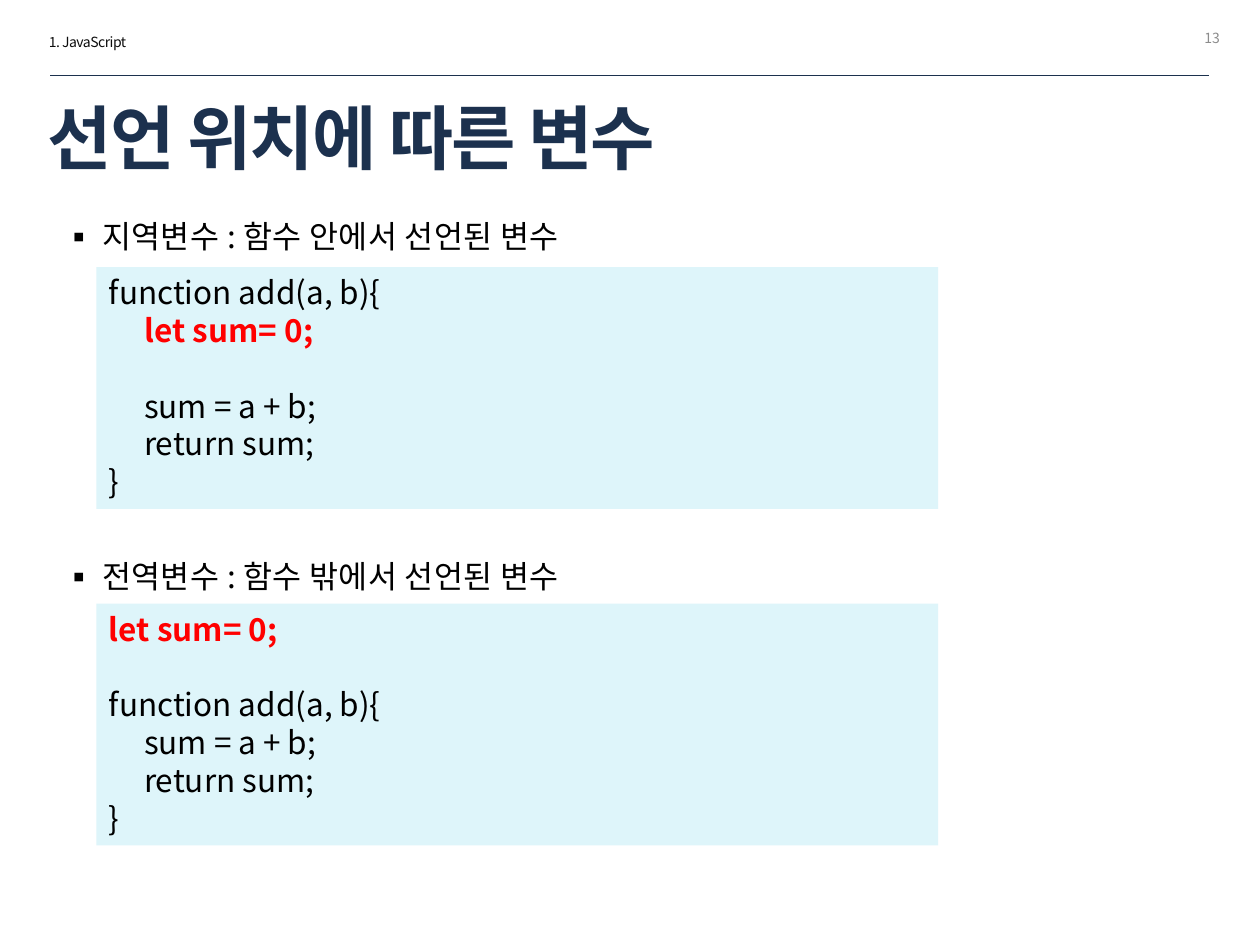
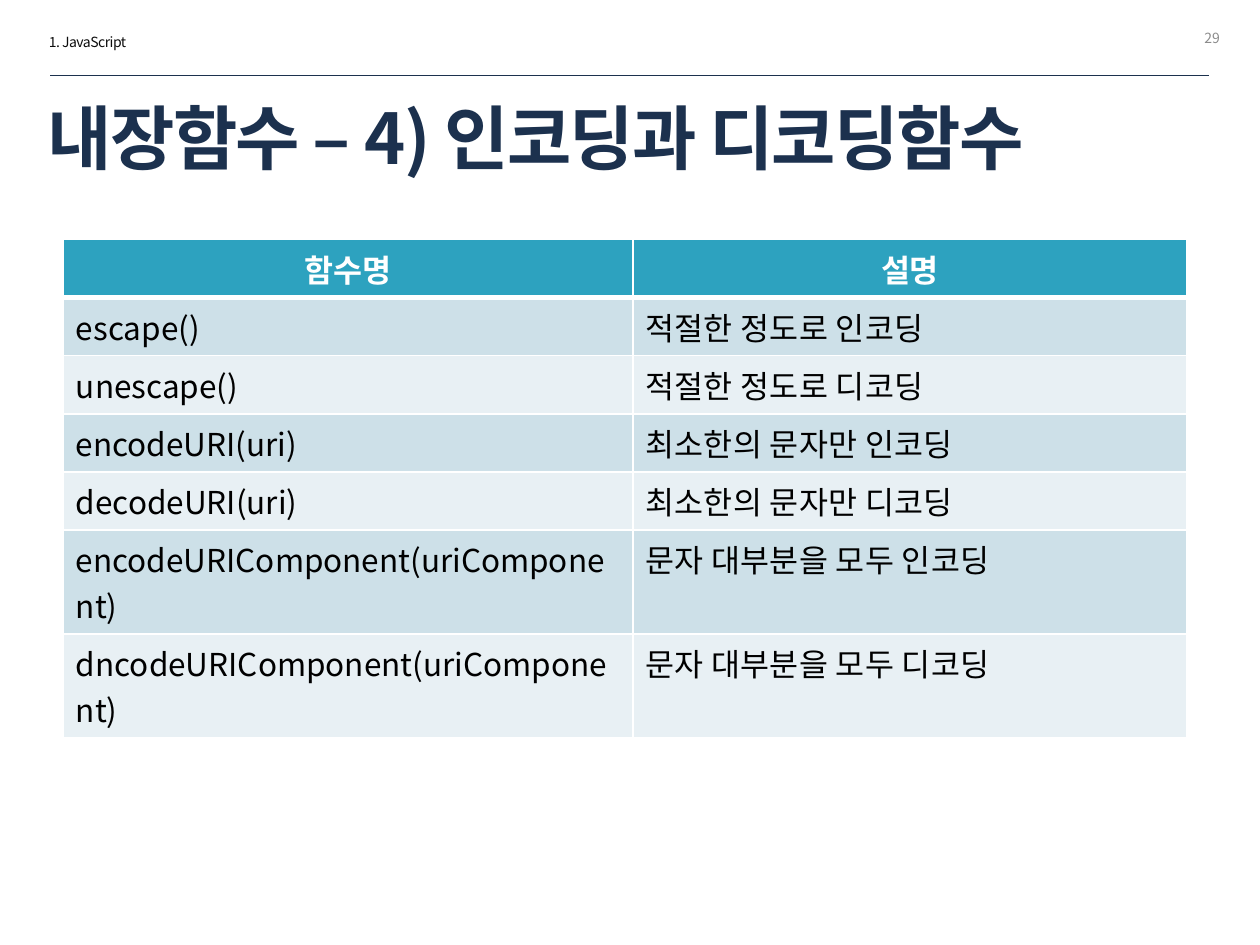
from lxml.etree import SubElement
from pptx import Presentation
from pptx.dml.color import RGBColor
from pptx.enum.shapes import MSO_CONNECTOR, MSO_SHAPE
from pptx.enum.text import MSO_ANCHOR, MSO_AUTO_SIZE, PP_ALIGN
from pptx.oxml.ns import qn
from pptx.util import Pt

FONT = "Noto Sans CJK KR"
NAVY, BLACK, WHITE, RED = "1C314E", "000000", "FFFFFF", "FF0000"
INK, GREY, CODE_FILL = "0D0D0D", "8C8C8C", "DEF5FA"
HEADER_FILL, BAND_FILLS = "2DA2BF", ("CDE0E8", "E8F0F4")
TITLE_AND_BODY, TITLE_ONLY = 1, 5
LINE_HEIGHT = 21.6
TEXT_INDENT, BULLET_HANG = 22.5, 28.2
ROW_HEIGHT, TALL_ROW_HEIGHT = 33.25, 59.25
KOREAN_TRACKING = 0.2

LOCAL_CODE = [
    "function add(a, b){",
    "     let sum= 0;",
    "",
    "     sum = a + b;",
    "     return sum;",
    "}",
]
GLOBAL_CODE = [
    "let sum= 0;",
    "",
    "function add(a, b){",
    "     sum = a + b;",
    "     return sum;",
    "}",
]
FUNCTION_ROWS = [
    ("함수명", "설명"),
    ("escape()", "적절한 정도로 인코딩"),
    ("unescape()", "적절한 정도로 디코딩"),
    ("encodeURI(uri)", "최소한의 문자만 인코딩"),
    ("decodeURI(uri)", "최소한의 문자만 디코딩"),
    ("encodeURIComponent(uriComponent)", "문자 대부분을 모두 인코딩"),
    ("dncodeURIComponent(uriComponent)", "문자 대부분을 모두 디코딩"),
]


def color(value):
    return RGBColor.from_string(value)


def style(paragraph, size, ink, bold=False, align=PP_ALIGN.LEFT, tracking=0):
    paragraph.alignment = align
    font = paragraph.font
    font.name, font.size, font.bold = FONT, Pt(size), bold
    font.color.rgb = color(ink)
    properties = paragraph._p.pPr.find(qn("a:defRPr"))
    properties.set("spc", str(round(tracking * 100)))
    SubElement(properties, qn("a:ea")).set("typeface", FONT)


def place(shape, left, top, width, height):
    shape.left, shape.top = Pt(left), Pt(top)
    shape.width, shape.height = Pt(width), Pt(height)


def add_label(page, text, area, ink, **options):
    box = page.shapes.add_textbox(*map(Pt, area))
    frame = box.text_frame
    frame.word_wrap = True
    frame.vertical_anchor = MSO_ANCHOR.MIDDLE
    frame.text = text
    style(frame.paragraphs[0], 8, ink, **options)


def add_page(deck, layout, title, title_width, number):
    page = deck.slides.add_slide(deck.slide_layouts[layout])
    add_label(page, "1. JavaScript", (20.9, 15.1, 124.6, 17.3), INK, tracking=-0.3)
    rule = page.shapes.add_connector(
        MSO_CONNECTOR.STRAIGHT, Pt(28.8), Pt(43.2), Pt(690.8), Pt(43.2))
    rule.line.color.rgb = color(NAVY)
    rule.line.width = Pt(0.25)
    SubElement(rule._element.spPr, qn("a:effectLst"))
    heading = page.shapes.title
    place(heading, 20.2, 54.8, title_width, 46.1)
    frame = heading.text_frame
    frame.text = title
    frame.auto_size = MSO_AUTO_SIZE.NONE
    frame.vertical_anchor = MSO_ANCHOR.MIDDLE
    style(frame.paragraphs[0], 40, NAVY, bold=True, tracking=-1)
    add_label(page, number, (536.4, 7.2, 167.8, 28.8), GREY, align=PP_ALIGN.RIGHT)
    return page


def fill_bullets(page, texts, gap):
    body = page.placeholders[1]
    place(body, 28.8, 120.2, 559.4, 225.4)
    frame = body.text_frame
    frame.auto_size = MSO_AUTO_SIZE.NONE
    frame.text = "\n".join(texts)
    for index, paragraph in enumerate(frame.paragraphs):
        paragraph.line_spacing = Pt(LINE_HEIGHT)
        paragraph.space_before = Pt(gap if index else 0)
        properties = paragraph._p.get_or_add_pPr()
        properties.set("marL", str(Pt(TEXT_INDENT)))
        properties.set("indent", str(Pt(-BULLET_HANG)))
        SubElement(properties, qn("a:buFont")).set("typeface", FONT)
        SubElement(properties, qn("a:buChar")).set("char", "▪")
        style(paragraph, 18, BLACK, tracking=KOREAN_TRACKING)


def add_code(page, top, lines):
    box = page.shapes.add_shape(
        MSO_SHAPE.RECTANGLE, Pt(55.1), Pt(top), Pt(481), Pt(138.2))
    box.shadow.inherit = False
    box.fill.solid()
    box.fill.fore_color.rgb = color(CODE_FILL)
    box.line.fill.background()
    frame = box.text_frame
    frame.vertical_anchor = MSO_ANCHOR.TOP
    frame.text = "\n".join(line for line in lines if line)
    paragraphs = iter(frame.paragraphs)
    gap = 0
    for line in lines:
        if not line:
            gap += LINE_HEIGHT
            continue
        paragraph = next(paragraphs)
        paragraph.line_spacing = Pt(LINE_HEIGHT)
        paragraph.space_before = Pt(gap)
        gap = 0
        declares = line.strip().startswith("let ")
        style(paragraph, 18, RED if declares else BLACK, bold=declares)


def add_borders(cell, top, bottom):
    properties = cell._tc.get_or_add_tcPr()
    sides = (("lnL", 1), ("lnR", 1), ("lnT", top), ("lnB", bottom))
    for index, (side, width) in enumerate(sides):
        border = properties.makeelement(qn(f"a:{side}"), {"w": str(Pt(width))})
        properties.insert(index, border)
        fill = SubElement(border, qn("a:solidFill"))
        SubElement(fill, qn("a:srgbClr")).set("val", WHITE)


def add_function_table(page, rows):
    widths = (325.4, 316.8)
    heights = [TALL_ROW_HEIGHT if "Component" in name else ROW_HEIGHT
               for name, meaning in rows]
    table = page.shapes.add_table(
        len(rows), len(widths), Pt(36.2), Pt(136.8),
        Pt(sum(widths)), Pt(sum(heights))).table
    for column, width in zip(table.columns, widths):
        column.width = Pt(width)
    for row_index, texts in enumerate(rows):
        table.rows[row_index].height = Pt(heights[row_index])
        header = row_index == 0
        fill = HEADER_FILL if header else BAND_FILLS[(row_index - 1) % 2]
        for column_index, text in enumerate(texts):
            cell = table.cell(row_index, column_index)
            cell.text = text
            cell.fill.solid()
            cell.fill.fore_color.rgb = color(fill)
            add_borders(cell, 3 if row_index == 1 else 1, 3 if header else 1)
            korean_body = column_index == 1 and not header
            style(cell.text_frame.paragraphs[0], 18, WHITE if header else BLACK,
                  bold=header, align=PP_ALIGN.CENTER if header else PP_ALIGN.LEFT,
                  tracking=KOREAN_TRACKING if korean_body else 0)


def main():
    deck = Presentation()
    deck.slide_width, deck.slide_height = Pt(720), Pt(540)

    page = add_page(deck, TITLE_AND_BODY, "선언 위치에 따른 변수", 550.8, "13")
    fill_bullets(page, ["지역변수 : 함수 안에서 선언된 변수",
                        "전역변수 : 함수 밖에서 선언된 변수"], 8 * LINE_HEIGHT)
    add_code(page, 152.6, LOCAL_CODE)
    add_code(page, 344.9, GLOBAL_CODE)

    page = add_page(deck, TITLE_ONLY, "내장함수 – 4) 인코딩과 디코딩함수", 677.5, "29")
    add_function_table(page, FUNCTION_ROWS)

    deck.save("out.pptx")


if __name__ == "__main__":
    main()
